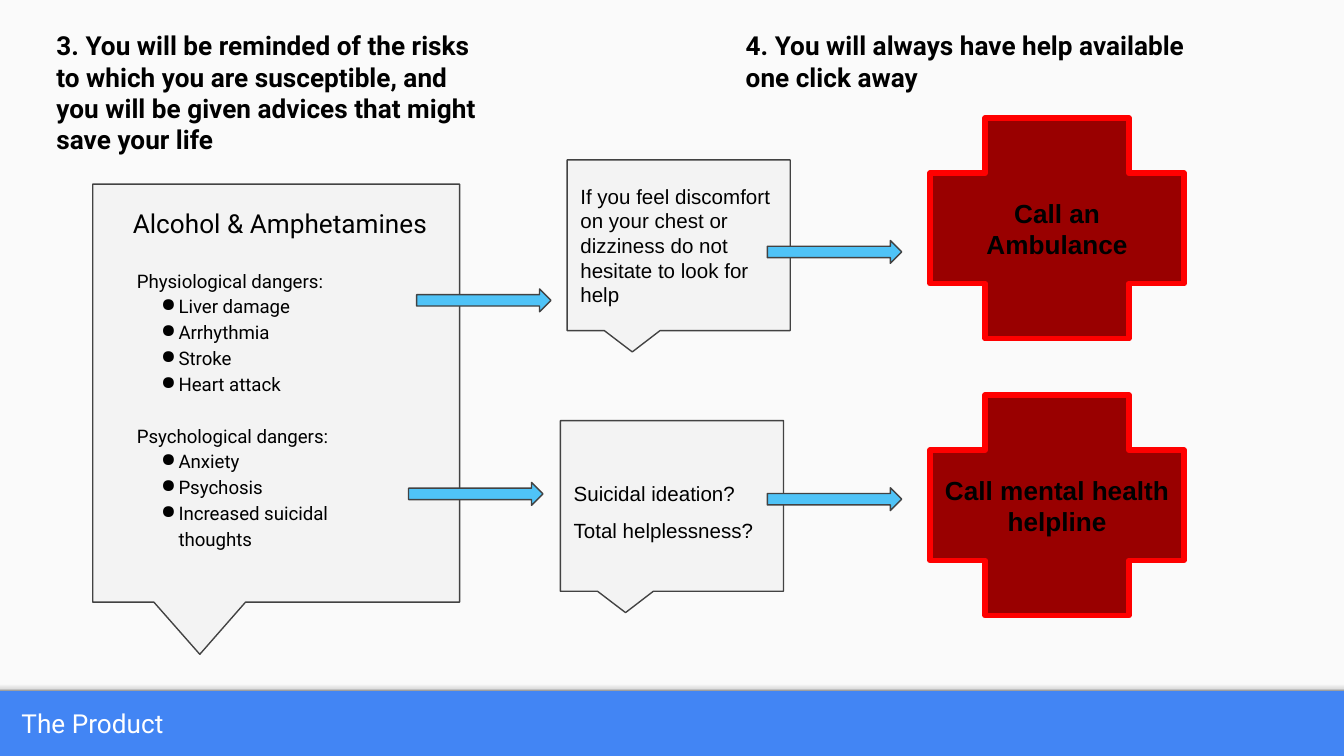
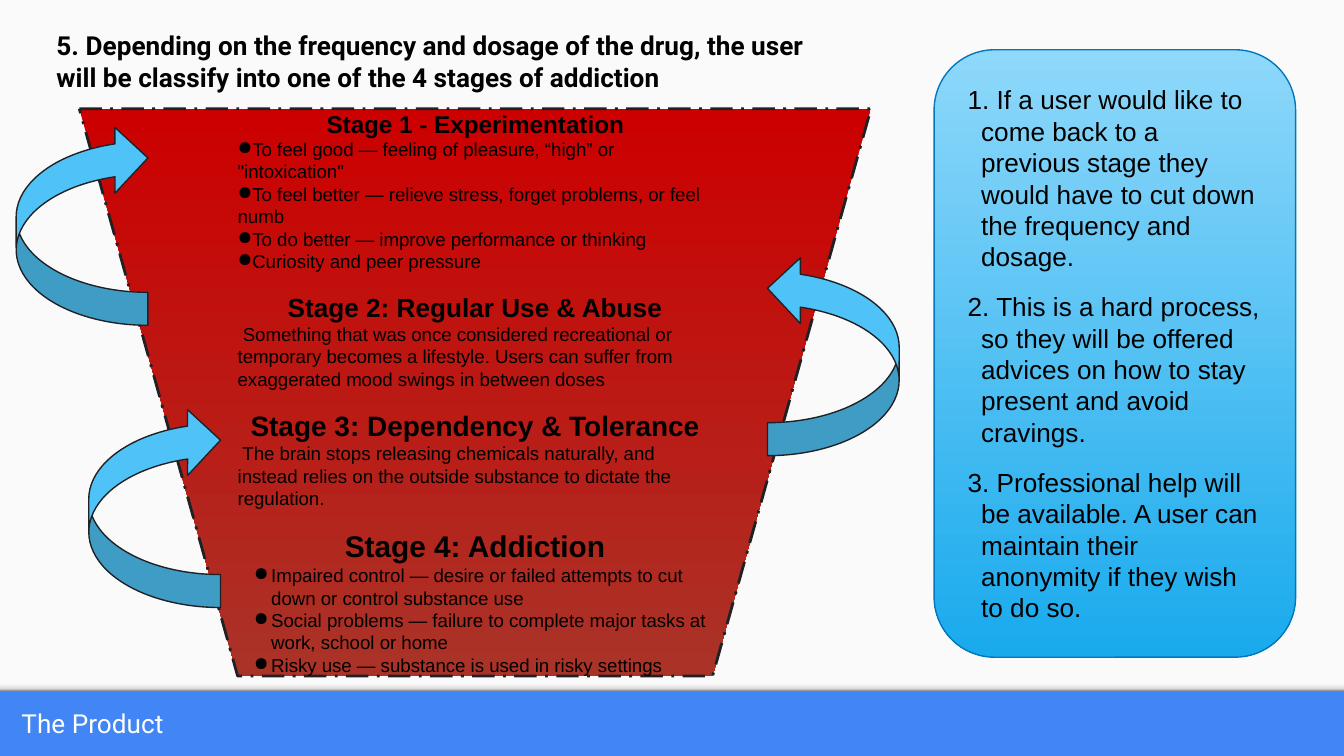
import pptx
import pptx.dml.color
import pptx.enum.dml
import pptx.enum.shapes
import pptx.enum.text
import pptx.oxml.ns
import pptx.util
from dataclasses import dataclass
from lxml import etree

SHAPES = pptx.enum.shapes.MSO_SHAPE
ANCHOR = pptx.enum.text.MSO_ANCHOR
ALIGN = pptx.enum.text.PP_ALIGN
qn = pptx.oxml.ns.qn

# The slide is a grid of 100 columns by 56.25 rows with square cells
CELL = pptx.util.Inches(0.1)
COLUMNS, ROWS = 100, 56.25


@dataclass(frozen=True)
class Theme:
    display: str = "Roboto"
    plain: str = "Arial"
    heading_size: int = 14
    callout_size: int = 11
    detail_size: int = 10
    black: str = "000000"
    white: str = "FFFFFF"
    band: str = "4285F4"
    paper: str = "FAFAFA"
    panel: str = "F3F3F3"
    panel_line: str = "424242"
    arrow: str = "4FC3F7"
    dark_line: str = "202124"
    cross: str = "990000"
    cross_line: str = "FF0000"
    recovery_line: str = "0277BD"
    edge_gradient: tuple = ((0, "F9F9F9"), (36, "F9F9F9"), (80, "DEDEDE"), (100, "999999"))
    recovery_gradient: tuple = ((0, "8ED8FA"), (100, "19AAED"))
    funnel_gradient: tuple = ((0, "CC0000"), (100, "AA3227"))


THEME = Theme()
PANEL = dict(fill=THEME.panel, line=THEME.panel_line, adjustments=(-0.208, 0.625, 0))


def rgb(value):
    return pptx.dml.color.RGBColor.from_string(value)


def grid(*cells):
    return [int(cell * CELL) for cell in cells]


# Text
def set_bullet(paragraph, bullet, margin, indent):
    properties = paragraph._p.get_or_add_pPr()
    properties.set("marL", str(pptx.util.Inches(margin)))
    properties.set("indent", str(pptx.util.Inches(indent)))
    if bullet is None:
        etree.SubElement(properties, qn("a:buNone"))
        return
    color = etree.SubElement(properties, qn("a:buClr"))
    etree.SubElement(color, qn("a:srgbClr"), val=THEME.black)
    if bullet == "1.":
        etree.SubElement(properties, qn("a:buAutoNum"), type="arabicPeriod")
    else:
        etree.SubElement(properties, qn("a:buChar"), char=bullet)


def write(frame, text, *, size=THEME.detail_size, font=THEME.plain, color=THEME.black,
          bold=False, align=ALIGN.LEFT, spacing=1.0, before=0, after=0,
          bullet=None, margin=0, indent=0):
    """Write one paragraph at the end of the frame."""
    paragraph = frame.paragraphs[0] if not frame.text else frame.add_paragraph()
    set_bullet(paragraph, bullet, margin, indent)
    paragraph.alignment = align
    paragraph.line_spacing = spacing
    paragraph.space_before = pptx.util.Pt(before)
    paragraph.space_after = pptx.util.Pt(after)
    run = paragraph.add_run()
    run.text = text
    run.font.size = pptx.util.Pt(size)
    run.font.name = font
    run.font.bold = bold
    run.font.color.rgb = rgb(color)


def prepare_frame(shape, anchor=ANCHOR.TOP, side_inset=1):
    frame = shape.text_frame
    frame.word_wrap = True
    frame.auto_size = pptx.enum.text.MSO_AUTO_SIZE.NONE
    frame.vertical_anchor = anchor
    frame.margin_left = frame.margin_right = side_inset * CELL
    frame.margin_top = frame.margin_bottom = CELL
    return frame


def add_text(slide, box, text, **style):
    frame = prepare_frame(slide.shapes.add_textbox(*grid(*box)))
    write(frame, text, **style)


def fill_placeholder(shape, box, text, anchor, **style):
    shape.left, shape.top, shape.width, shape.height = grid(*box)
    write(prepare_frame(shape, anchor), text, font=THEME.display,
          size=THEME.heading_size, **style)


# Shapes
def set_gradient(shape, stops):
    shape.fill.gradient()
    shape.fill.gradient_angle = 270
    stop_list = shape._element.spPr.find(qn("a:gradFill")).find(qn("a:gsLst"))
    for stop in list(stop_list):
        stop_list.remove(stop)
    for position, color in stops:
        stop = etree.SubElement(stop_list, qn("a:gs"), pos=str(position * 1000))
        etree.SubElement(stop, qn("a:srgbClr"), val=color)


def add_shape(slide, kind, box, fill, line=None, weight=0.75, adjustments=()):
    shape = slide.shapes.add_shape(kind, *grid(*box))
    shape.shadow.inherit = False
    for index, value in enumerate(adjustments):
        shape.adjustments[index] = value
    if isinstance(fill, str):
        shape.fill.solid()
        shape.fill.fore_color.rgb = rgb(fill)
    else:
        set_gradient(shape, fill)
    if line:
        shape.line.color.rgb = rgb(line)
        shape.line.width = pptx.util.Pt(weight)
    else:
        shape.line.fill.background()
    return shape


def add_callout(slide, box, lines, spacing=1.0):
    shape = add_shape(slide, SHAPES.ROUNDED_RECTANGULAR_CALLOUT, box, **PANEL)
    frame = prepare_frame(shape, ANCHOR.MIDDLE)
    for line in lines:
        write(frame, line, size=THEME.callout_size, spacing=spacing)


def add_cross(slide, top, text):
    shape = add_shape(slide, SHAPES.CROSS, (69.2, top, 18.9, 16.4),
                      THEME.cross, THEME.cross_line, 3, (0.25,))
    write(prepare_frame(shape, ANCHOR.MIDDLE), text, size=THEME.heading_size,
          bold=True, align=ALIGN.CENTER)


def add_right_arrow(slide, left, top):
    add_shape(slide, SHAPES.RIGHT_ARROW, (left, top, 10, 1.7),
              THEME.arrow, THEME.panel_line)


def add_return_arrow(slide, left, top, flipped):
    shape = add_shape(slide, SHAPES.CURVED_RIGHT_ARROW, (left, top, 9.8, 14.9),
                      THEME.arrow, THEME.dark_line, adjustments=(0.25, 0.5, 0.25))
    shape.rotation = 180
    if flipped:
        shape._element.spPr.find(qn("a:xfrm")).set("flipH", "1")


# Shared parts
def furnish_layout(layout, slide):
    """Give the layout its blue band, paper and soft edge."""
    layout.background.fill.solid()
    layout.background.fill.fore_color.rgb = rgb(THEME.band)
    paper = add_shape(slide, SHAPES.RECTANGLE, (0, 0, COLUMNS, 51.4), THEME.paper)
    edge = add_shape(slide, SHAPES.RECTANGLE, (0, 50.6, COLUMNS, 0.8), THEME.edge_gradient)
    for position, shape in enumerate((paper, edge), start=2):
        layout.shapes._spTree.insert(position, shape._element)


def add_product_slide(presentation, layout, heading, width, height):
    slide = presentation.slides.add_slide(layout)
    fill_placeholder(slide.shapes.title, (3.2, 1.2, width, height), heading,
                     ANCHOR.TOP, bold=True)
    fill_placeholder(slide.placeholders[1], (0.6, 51.4, 91.7, 4.85), "The Product",
                     ANCHOR.MIDDLE, color=THEME.white)
    return slide


# Slide contents
DANGERS = {
    "Physiological dangers:": ["Liver damage", "Arrhythmia", "Stroke", "Heart attack"],
    "Psychological dangers:": ["Anxiety", "Psychosis", "Increased suicidal thoughts"],
}

# Heading, heading size, bullet, left margin in inches, lines
STAGES = [
    ("Stage 1 - Experimentation", 13, "●", 0, [
        "To feel good — feeling of pleasure, “high” or \"intoxication\"",
        "To feel better — relieve stress, forget problems, or feel numb",
        "To do better — improve performance or thinking",
        "Curiosity and peer pressure"]),
    ("Stage 2: Regular Use & Abuse", 14, None, 0, [
        " Something that was once considered recreational or temporary becomes a "
        "lifestyle. Users can suffer from exaggerated mood swings in between doses"]),
    ("Stage 3: Dependency & Tolerance", 15, None, 0, [
        " The brain stops releasing chemicals naturally, and instead relies on the "
        "outside substance to dictate the regulation."]),
    ("Stage 4: Addiction", 16, "●", 0.25, [
        "Impaired control — desire or failed attempts to cut down or control substance use",
        "Social problems — failure to complete major tasks at work, school or home",
        "Risky use — substance is used in risky settings"]),
]

RECOVERY_STEPS = [
    " If a user would like to come back to a previous stage they would have to cut "
    "down the frequency and dosage.",
    " This is a hard process, so they will be offered advices on how to stay present "
    "and avoid cravings.",
    " Professional help will be available. A user can maintain their anonymity if "
    "they wish to do so.",
]


def add_dangers(slide):
    add_shape(slide, SHAPES.ROUNDED_RECTANGULAR_CALLOUT, (6.9, 13.7, 27.3, 31.1), **PANEL)
    add_text(slide, (8.9, 14.4, 27.7, 4.4), "Alcohol & Amphetamines",
             size=THEME.heading_size, font=THEME.display)
    frame = prepare_frame(slide.shapes.add_textbox(*grid(9.2, 18.8, 21.2, 23.1)))
    style = dict(font=THEME.display, spacing=1.15)
    for index, (group, dangers) in enumerate(DANGERS.items()):
        write(frame, group, before=14 if index else 0, **style)
        for danger in dangers:
            write(frame, danger, bullet="●", margin=0.31, indent=-0.13, **style)


def add_stages(slide):
    funnel = add_shape(slide, SHAPES.FLOWCHART_MANUAL_OPERATION, (5.9, 8.1, 58.9, 42.2),
                       THEME.funnel_gradient, THEME.dark_line, 1.5)
    funnel.line.dash_style = pptx.enum.dml.MSO_LINE.LONG_DASH_DOT
    frame = prepare_frame(funnel, ANCHOR.MIDDLE, side_inset=0)
    for index, (heading, size, bullet, margin, lines) in enumerate(STAGES):
        write(frame, heading, size=size, bold=True, align=ALIGN.CENTER,
              before=10 if index else 0)
        for line in lines:
            write(frame, line, bullet=bullet, margin=margin,
                  indent=-0.13 if bullet else 0)


def add_recovery_steps(slide):
    shape = add_shape(slide, SHAPES.ROUNDED_RECTANGLE, (69.5, 3.7, 26.9, 45.2),
                      THEME.recovery_gradient, THEME.recovery_line, adjustments=(0.167,))
    frame = prepare_frame(shape, ANCHOR.MIDDLE)
    for index, step in enumerate(RECOVERY_STEPS):
        write(frame, step, size=THEME.heading_size, bullet="1.", margin=0.12, indent=-0.1,
              before=10 if index else 0,
              after=10 if step == RECOVERY_STEPS[-1] else 0)


def main():
    presentation = pptx.Presentation()
    presentation.slide_width, presentation.slide_height = grid(COLUMNS, ROWS)
    layout = presentation.slide_layouts[1]

    # Risks and help
    slide = add_product_slide(
        presentation, layout,
        "3. You will be reminded of the risks to which you are susceptible, and you "
        "will be given advices that might save your life", 33.3, 11.4)
    furnish_layout(layout, slide)
    add_text(slide, (54.5, 1.2, 37.8, 6.7),
             "4. You will always have help available one click away",
             size=THEME.heading_size, font=THEME.display, bold=True)
    add_dangers(slide)
    add_callout(slide, (42.2, 11.9, 16.6, 12.7),
                ["If you feel discomfort on your chest or dizziness do not hesitate "
                 "to look for help"])
    add_callout(slide, (41.7, 31.3, 16.6, 12.7),
                ["Suicidal ideation?", "Total helplessness?"], spacing=1.5)
    add_cross(slide, 8.8, "Call an Ambulance")
    add_cross(slide, 29.4, "Call mental health helpline")
    for left, top in ((31, 21.5), (57.1, 17.9), (30.4, 35.9), (57.1, 36.3)):
        add_right_arrow(slide, left, top)

    # Stages of addiction
    slide = add_product_slide(
        presentation, layout,
        "5. Depending on the frequency and dosage of the drug, the user will be "
        "classify into one of the 4 stages of addiction", 59, 6.7)
    add_recovery_steps(slide)
    add_stages(slide)
    for left, top, flipped in ((57.1, 19, False), (1.2, 9.3, True), (6.6, 30.3, True)):
        add_return_arrow(slide, left, top, flipped)

    presentation.save("out.pptx")


if __name__ == "__main__":
    main()
